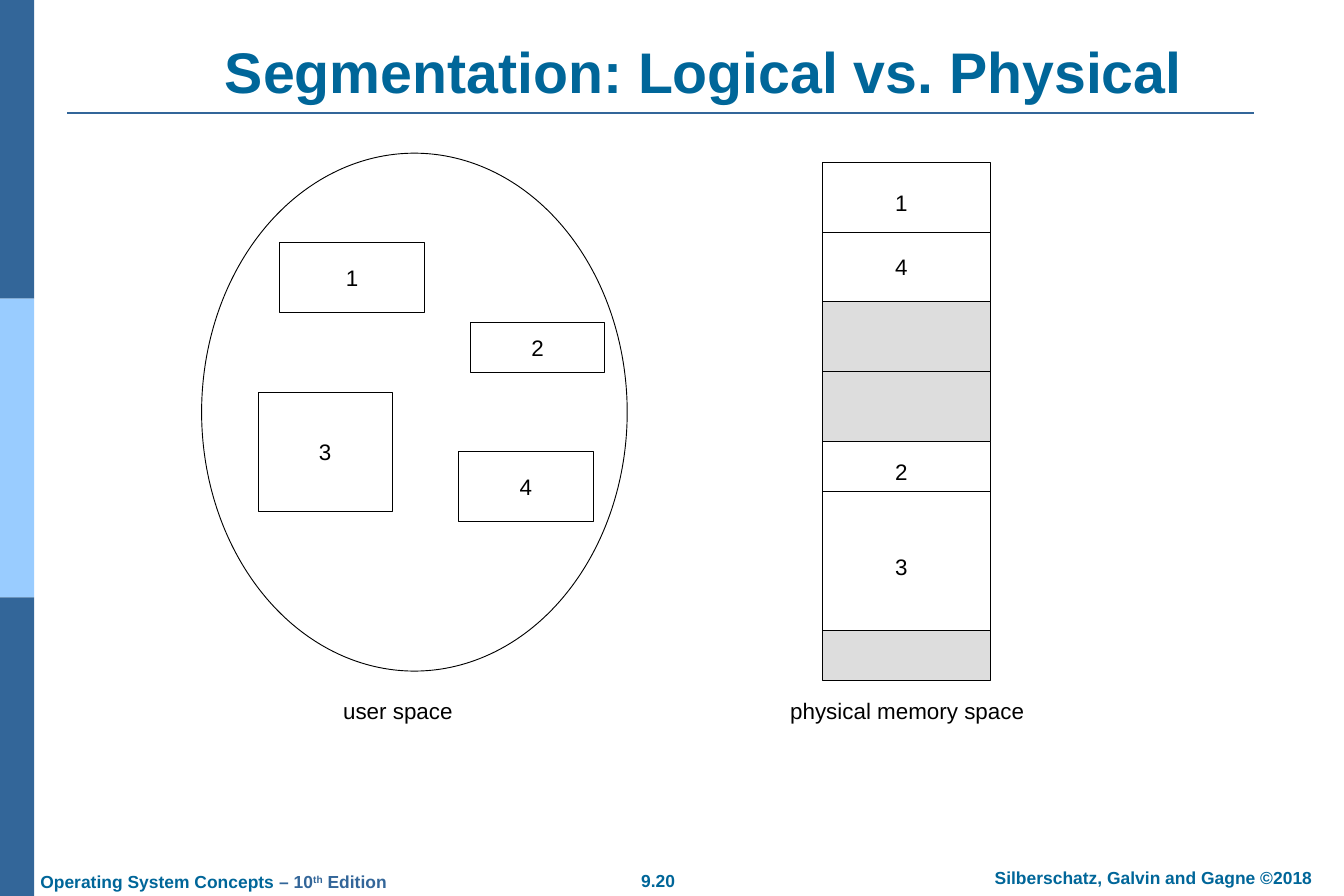
from dataclasses import dataclass

from lxml.etree import SubElement
from pptx import Presentation
from pptx.dml.color import RGBColor
from pptx.enum.shapes import MSO_CONNECTOR as Connector, MSO_SHAPE as Shape
from pptx.enum.text import MSO_ANCHOR as Anchor, MSO_AUTO_SIZE as AutoSize, PP_ALIGN as Align
from pptx.oxml.ns import qn
from pptx.util import Inches, Pt

BLACK, WHITE, GREY = "000000", "FFFFFF", "DDDDDD"
TEAL, NAVY, SKY = "006699", "336699", "99CCFF"
WIDE_INSETS, SMALL_INSETS = (0.14, 0.07), (0.1, 0.05)
SLIDE_W, SLIDE_H = 15, 10


@dataclass
class Box:
    left: float
    top: float
    width: float
    height: float
    text: str = ""
    fill: str = WHITE
    outline: str = BLACK
    preset: Shape = Shape.RECTANGLE

    def lengths(self) -> list:
        return [Inches(v) for v in (self.left, self.top, self.width, self.height)]


@dataclass
class Run:
    text: str
    color: str = BLACK
    size: float = 18
    bold: bool = False
    baseline: int = 0


@dataclass
class Label:
    left: float
    top: float
    width: float
    height: float
    runs: list
    align: Align = Align.CENTER
    anchor: Anchor = Anchor.MIDDLE
    insets: tuple = WIDE_INSETS
    wrap: bool = False
    autosize: AutoSize = AutoSize.SHAPE_TO_FIT_TEXT


def rgb(color: str) -> RGBColor:
    return RGBColor.from_string(color)


def write(frame, runs: list, align: Align, anchor: Anchor, insets: tuple,
          wrap: bool, autosize: AutoSize) -> None:
    side, end = map(Inches, insets)
    formats = {"margin_left": side, "margin_right": side, "margin_top": end,
               "margin_bottom": end, "vertical_anchor": anchor,
               "word_wrap": wrap, "auto_size": autosize}
    for name, value in formats.items():
        setattr(frame, name, value)
    paragraph = frame.paragraphs[0]
    paragraph.alignment = align
    for part in runs:
        run = paragraph.add_run()
        run.text = part.text
        for name, value in {"name": "Arial", "size": Pt(part.size), "bold": part.bold}.items():
            setattr(run.font, name, value)
        run.font.color.rgb = rgb(part.color)
        if part.baseline:
            run._r.get_or_add_rPr().set("baseline", str(part.baseline * 1000))


def draw_box(slide, box: Box):
    shape = slide.shapes.add_shape(box.preset, *box.lengths())
    shape.shadow.inherit = False
    shape.fill.solid()
    shape.fill.fore_color.rgb = rgb(box.fill)
    if box.outline:
        shape.line.color.rgb = rgb(box.outline)
        shape.line.width = Pt(0.75)
    else:
        shape.line.fill.background()
    if box.text:
        write(shape.text_frame, [Run(box.text)], Align.CENTER, Anchor.MIDDLE,
              WIDE_INSETS, False, AutoSize.NONE)
    return shape


def draw_label(slide, label: Label) -> None:
    place = (label.left, label.top, label.width, label.height)
    textbox = slide.shapes.add_textbox(*map(Inches, place))
    write(textbox.text_frame, label.runs, label.align, label.anchor,
          label.insets, label.wrap, label.autosize)


def draw_rule(slide, left: float, right: float, y: float,
              color: str = BLACK, width: float = 0.75):
    rule = slide.shapes.add_connector(
        Connector.STRAIGHT, *map(Inches, (left, y, right, y)))
    rule.line.color.rgb = rgb(color)
    rule.line.width = Pt(width)
    SubElement(rule._element.spPr, qn("a:effectLst"))
    return rule


def draw_frame(slide) -> None:
    # Side bars and title rule
    third = SLIDE_H / 3
    for i, color in enumerate((NAVY, SKY, NAVY)):
        draw_box(slide, Box(0, i * third, 0.38, third, fill=color, outline=""))
    draw_rule(slide, 0.75, 14, 1.26, NAVY, 1.5)

    # Title and footer
    def footer(text: str, color: str = TEAL, baseline: int = 0) -> Run:
        return Run(text, color, 14, True, baseline)

    edition = [footer("Operating System Concepts"), footer(" – 10", NAVY),
               footer("th", NAVY, 30), footer(" Edition", NAVY)]
    for label in (
        Label(1.45, 0.4, 12.8, 0.84,
              [Run("Segmentation: Logical vs. Physical", TEAL, 46, True)],
              anchor=Anchor.BOTTOM, wrap=True, autosize=AutoSize.NONE),
        Label(0.31, 9.65, 4.19, 0.38, edition, align=Align.LEFT, anchor=Anchor.TOP),
        Label(7, 9.64, 0.69, 0.38, [footer("9.20")], anchor=Anchor.TOP),
        Label(10.65, 9.61, 4.45, 0.38, [footer("Silberschatz, Galvin and Gagne ©2018")],
              anchor=Anchor.TOP, wrap=True),
    ):
        draw_label(slide, label)


def draw_user_space(slide) -> None:
    for box in (
        Box(2.25, 1.71, 4.75, 5.78, preset=Shape.OVAL),
        Box(3.12, 2.71, 1.62, 0.78, "1"),
        Box(2.88, 4.38, 1.5, 1.33, "3"),
        Box(5.25, 3.6, 1.5, 0.56, "2"),
        Box(5.12, 5.04, 1.5, 0.78, "4"),
    ):
        draw_box(slide, box)
    draw_label(slide, Label(3.68, 7.71, 1.52, 0.45, [Run("user space")]))


def draw_physical_memory(slide) -> None:
    left, width = 9.18, 1.88

    # Blocks stacked from the top; a halved block is split across its middle
    top = 1.81
    for height, fill, halved in ((1.56, WHITE, True), (1.56, GREY, True),
                                 (2.11, WHITE, False), (0.56, GREY, False)):
        block = draw_box(slide, Box(left, top, width, height, fill=fill))
        if halved:
            divider = draw_rule(slide, left, left + width, top + height / 2)
            divider.begin_connect(block, 1)
            divider.end_connect(block, 3)
        top += height
    draw_rule(slide, left, left + width, 5.48)

    # Segment numbers
    for segment, y in (("1", 2.06), ("4", 2.77), ("2", 5.06), ("3", 6.12)):
        draw_label(slide, Label(9.89, y, 0.34, 0.4, [Run(segment)], insets=SMALL_INSETS))
    draw_label(slide, Label(8.66, 7.71, 2.93, 0.45, [Run("physical memory space")]))


def main() -> None:
    deck = Presentation()
    deck.slide_width, deck.slide_height = Inches(SLIDE_W), Inches(SLIDE_H)
    slide = deck.slides.add_slide(deck.slide_layouts[6])
    draw_frame(slide)
    draw_user_space(slide)
    draw_physical_memory(slide)
    deck.save("out.pptx")


if __name__ == "__main__":
    main()
